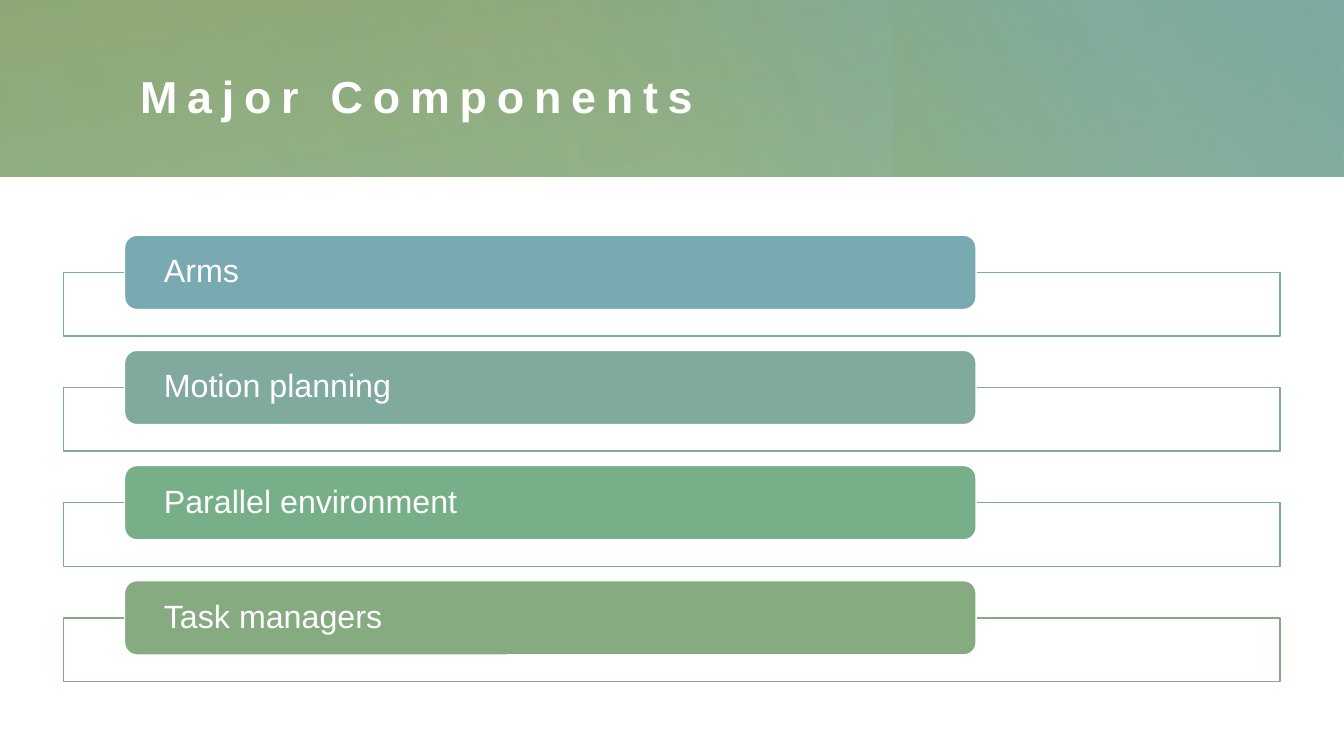
import pptx
import pptx.util
import pptx.dml.color
import pptx.enum.shapes
import pptx.enum.text
import pptx.oxml
import pptx.oxml.ns
from dataclasses import dataclass

Pt = pptx.util.Pt
SHAPES = pptx.enum.shapes.MSO_SHAPE


@dataclass(frozen=True)
class Theme:
    """Colours, font and type sizes of the slide."""
    white: str = "FFFFFF"
    teal: str = "79AAB1"
    sage: str = "80AA9E"
    green: str = "77AF88"
    moss: str = "86AB81"
    olive: str = "90A974"
    font: str = "Arial"
    title_size: int = 32
    label_size: int = 23


THEME = Theme()


def rgb(colour):
    """Turn a hex string into a colour value."""
    return pptx.dml.color.RGBColor.from_string(colour)


def colour_xml(colour, opacity):
    """Return the XML of a colour with an opacity in percent."""
    return f'<a:srgbClr val="{colour}"><a:alpha val="{opacity * 1000}"/></a:srgbClr>'


def fill_xml(shape, tag, content):
    """Give a shape a fill described in XML."""
    shape.fill.background()
    no_fill = shape.element.spPr.find(pptx.oxml.ns.qn("a:noFill"))
    xml = f'<a:{tag} {pptx.oxml.ns.nsdecls("a")}>{content}</a:{tag}>'
    no_fill.getparent().replace(no_fill, pptx.oxml.parse_xml(xml))


def add_box(slide, kind, box, line=None):
    """Add a shadowless shape with an optional one-point line."""
    shape = slide.shapes.add_shape(kind, *map(Pt, box))
    shape.shadow.inherit = False
    if line:
        shape.line.color.rgb = rgb(line)
        shape.line.width = Pt(1)
    else:
        shape.line.fill.background()
    return shape


def write_text(shape, text, *, size, insets, bold=False, tracking=0, line_spacing=1.0):
    """Write one left-aligned, vertically centred line of white text."""
    frame = shape.text_frame
    frame.word_wrap = True
    frame.auto_size = pptx.enum.text.MSO_AUTO_SIZE.NONE
    frame.vertical_anchor = pptx.enum.text.MSO_ANCHOR.MIDDLE
    frame.margin_left, frame.margin_top, frame.margin_right, frame.margin_bottom = map(Pt, insets)
    paragraph = frame.paragraphs[0]
    paragraph.alignment = pptx.enum.text.PP_ALIGN.LEFT
    paragraph.line_spacing = line_spacing
    run = paragraph.add_run()
    run.text = text
    run.font.name = THEME.font
    run.font.size = Pt(size)
    run.font.bold = bold
    run.font.color.rgb = rgb(THEME.white)
    if tracking:
        run.font._element.set("spc", str(tracking * 100))


def add_gradient(slide, box, stops, angle, rotation=0):
    """Add a rectangle filled with a linear gradient."""
    layer = add_box(slide, SHAPES.RECTANGLE, box)
    layer.rotation = rotation
    marks = "".join(f'<a:gs pos="{position * 1000}">{colour_xml(colour, opacity)}</a:gs>'
                    for position, colour, opacity in stops)
    fill_xml(layer, 'gradFill',
             f'<a:gsLst>{marks}</a:gsLst><a:lin ang="{angle * 60000}" scaled="0"/>')


def add_header(slide, box, heading):
    """Build the layered gradient band and its title."""
    left, top, width, height = box
    glow_width = 269.3
    glow_left = left + 638.6 + (glow_width - height) / 2
    glow_top = top - (glow_width - height) / 2
    layers = [
        (box, [(0, THEME.moss, 83), (100, THEME.olive, 100)], 260, 0),
        ((left + 346.3, top, width - 346.3, height),
         [(22, THEME.teal, 0), (99, THEME.teal, 100)], 310, 0),
        ((glow_left, glow_top, height, glow_width),
         [(45, THEME.green, 0), (99, THEME.olive, 33)], 250, 270),
        ((left + 193, top, 766, height),
         [(0, THEME.moss, 30), (99, THEME.moss, 0)], 330, 180),
        ((left, top, 622.8, height),
         [(0, THEME.moss, 21), (99, THEME.moss, 0)], 340, 0),
    ]
    for layer_box, stops, angle, rotation in layers:
        add_gradient(slide, layer_box, stops, angle, rotation)
    title = slide.shapes.title
    title.left, title.top, title.width, title.height = map(
        Pt, (left + 91.4, top + 29.5, 817.2, 76.3))
    write_text(title, heading, size=THEME.title_size, insets=(8.64, 8.64, 8.64, 7.2),
               bold=True, tracking=7)
    slide.shapes._spTree.append(title.element)


def add_component(slide, box, name, colour):
    """Build one outlined row with its rounded label on the upper edge."""
    left, top, width, height = box
    label_height = 53.1
    frame_top = top + label_height / 2
    frame = add_box(slide, SHAPES.RECTANGLE,
                    (left, frame_top, width, top + height - frame_top), line=colour)
    fill_xml(frame, "solidFill", colour_xml(THEME.white, 90))
    label = add_box(slide, SHAPES.ROUNDED_RECTANGLE,
                    (left + width * 0.05, top, width * 0.7, label_height), line=THEME.white)
    label.fill.solid()
    label.fill.fore_color.rgb = rgb(colour)
    write_text(label, name, size=THEME.label_size, insets=(25.5, 0, 25.5, 0), line_spacing=0.9)


def add_component_list(slide, box, components):
    """Stack the component rows at equal gaps within the box."""
    left, top, width, height = box
    gap = 10.2
    row_height = (height - gap * (len(components) - 1)) / len(components)
    for index, (name, colour) in enumerate(components):
        row_top = top + index * (row_height + gap)
        add_component(slide, (left, row_top, width, row_height), name, colour)


def main():
    """Build and save the slide."""
    presentation = pptx.Presentation()
    presentation.slide_width, presentation.slide_height = Pt(960), Pt(540)
    slide = presentation.slides.add_slide(presentation.slide_layouts[5])
    add_header(slide, (0, 0, 960, 126.2), "Major Components")
    components = [
        ("Arms", THEME.teal),
        ("Motion planning", THEME.sage),
        ("Parallel environment", THEME.green),
        ("Task managers", THEME.moss),
    ]
    add_component_list(slide, (45.5, 168, 869, 318.8), components)
    presentation.save("out.pptx")


main()
